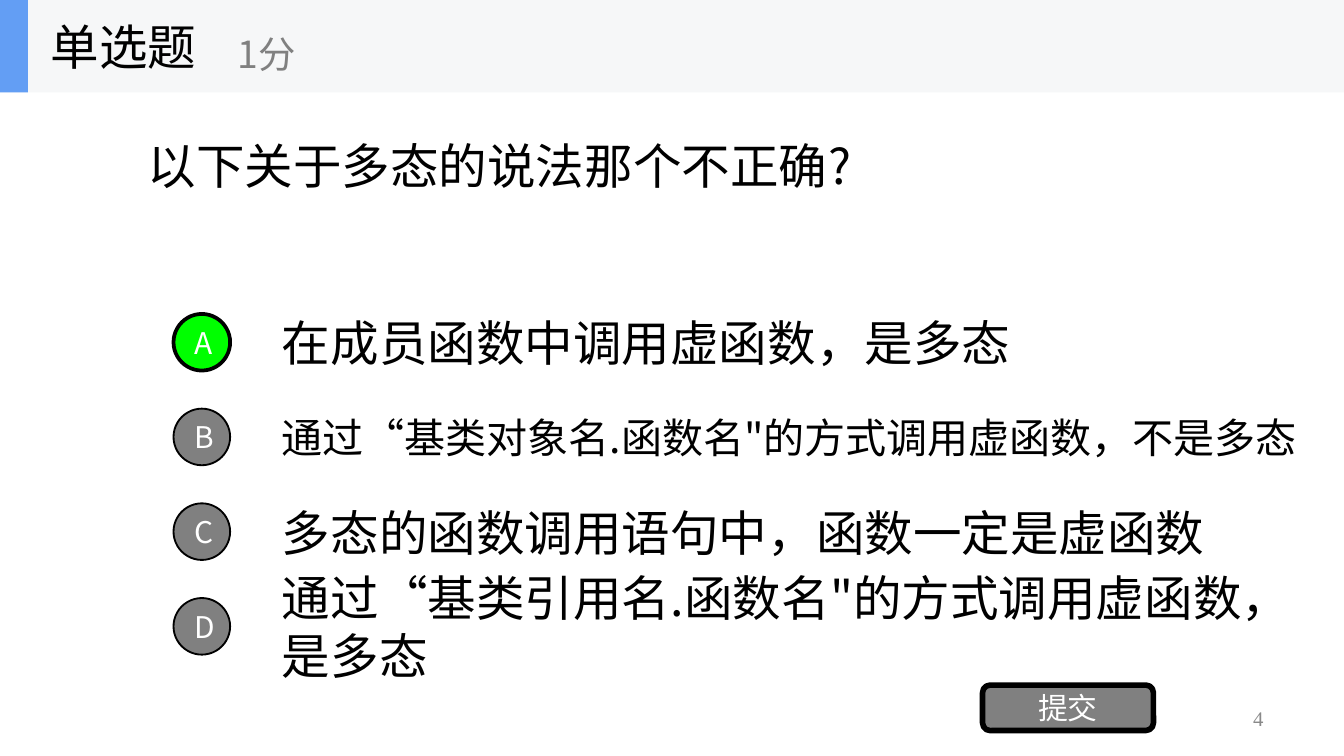
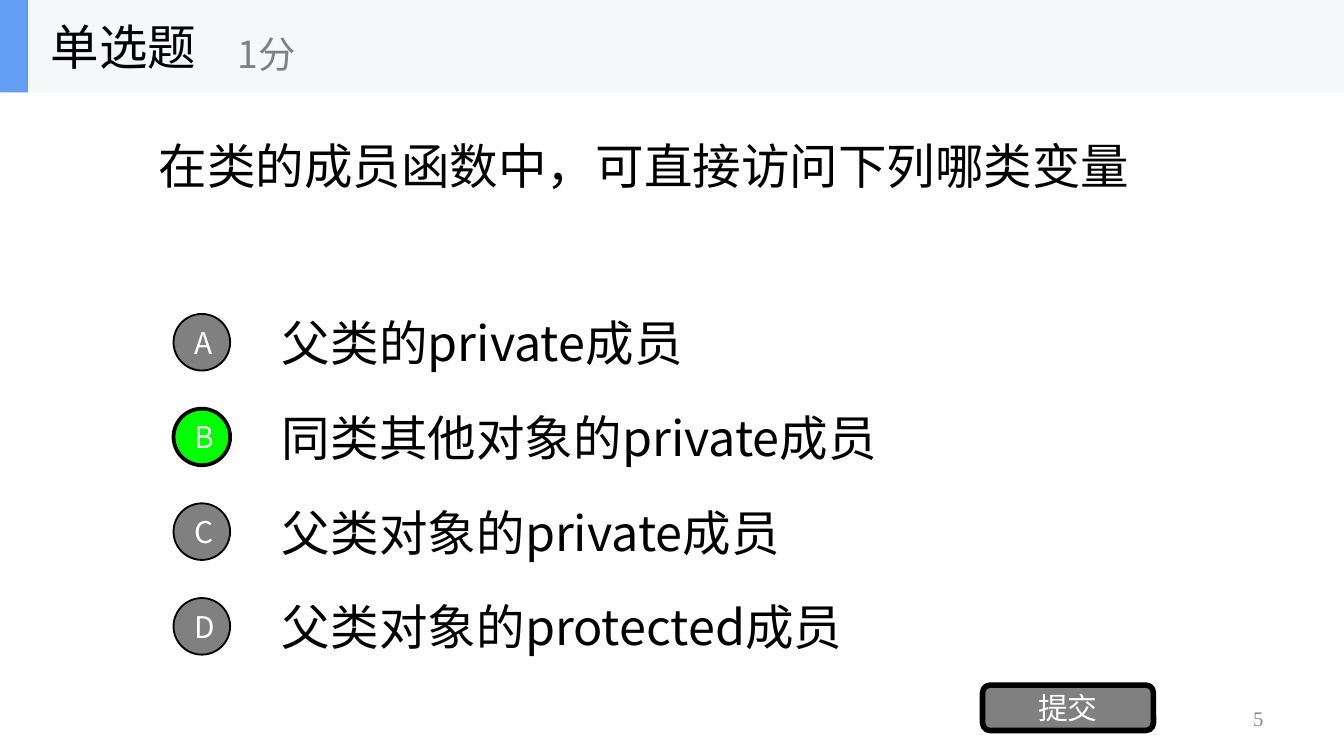
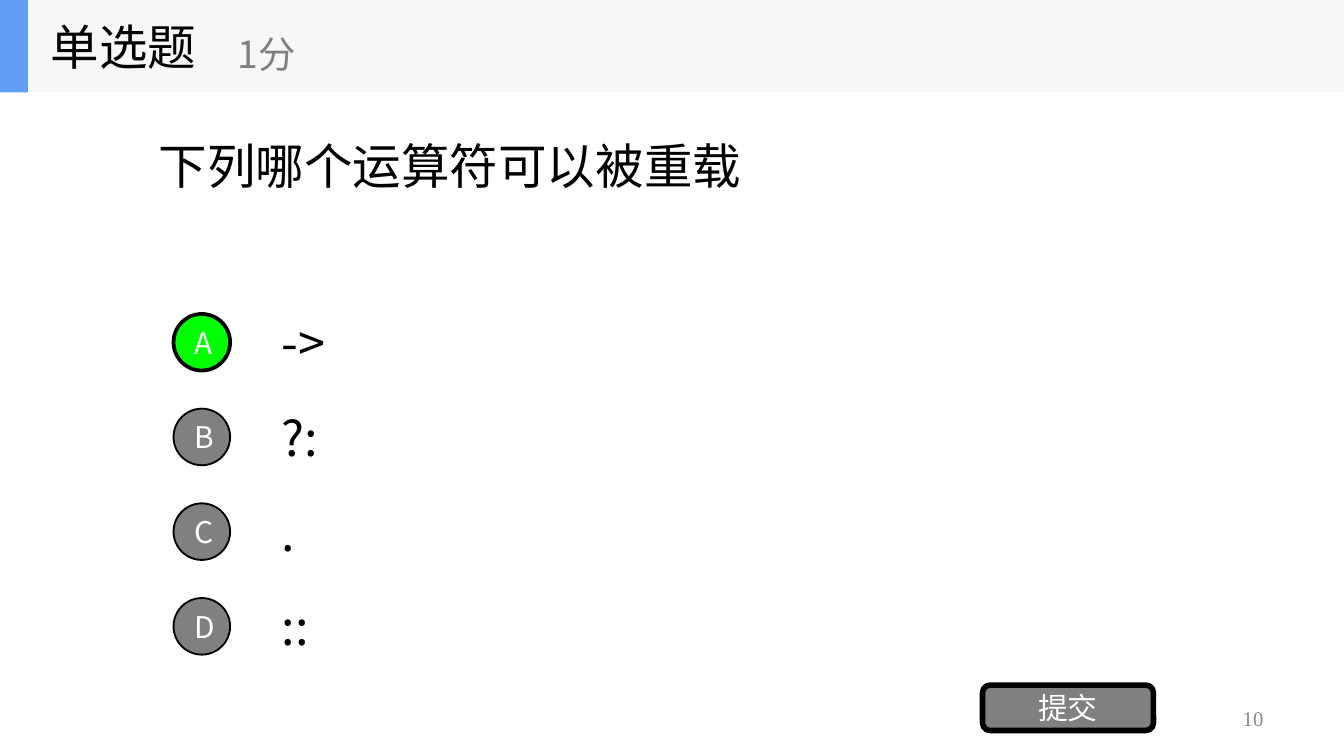
"""Build three single-choice quiz slides with a shared header, option list and submit button."""
from pptx import Presentation
from pptx.dml.color import RGBColor
from pptx.enum.shapes import MSO_SHAPE
from pptx.enum.text import MSO_ANCHOR, PP_ALIGN
from pptx.oxml.ns import qn
from pptx.util import Cm, Pt

COLORS = {
    "text": "000000",
    "outline": "000000",
    "light": "FFFFFF",
    "muted": "808080",
    "number": "898989",
    "correct": "00FF00",
    "band": "F6F7F8",
    "accent": "639EF4",
}
SANS = "Noto Sans CJK SC"
SERIF = "Times New Roman"

OPTION_TOP = 5.8
OPTION_PITCH = 1.79
OPTION_HEIGHT = 1.34
BADGE_SIZE = 1.07
BAND_HEIGHT = 1.75

QUESTIONS = [
    {
        "number": "4",
        "question": "以下关于多态的说法那个不正确?",
        "answer": "A",
        "options": [
            ("在成员函数中调用虚函数，是多态", 26, 17.78),
            ("通过“基类对象名.函数名\"的方式调用虚函数，不是多态", 22, 19.96),
            ("多态的函数调用语句中，函数一定是虚函数", 26, 19.96),
            ("通过“基类引用名.函数名\"的方式调用虚函数，是多态", 26, 19.05),
        ],
    },
    {
        "number": "5",
        "question": " 在类的成员函数中，可直接访问下列哪类变量",
        "answer": "B",
        "options": [
            ("父类的private成员", 26, 17.78),
            ("同类其他对象的private成员", 26, 17.78),
            ("父类对象的private成员", 26, 17.78),
            ("父类对象的protected成员", 26, 17.78),
        ],
    },
    {
        "number": "10",
        "question": " 下列哪个运算符可以被重载",
        "answer": "A",
        "options": [(symbol, 26, 17.78) for symbol in ("->", "?:", ".", "::")],
    },
]


def add_text(shapes, box, text, size, color="text", align=PP_ALIGN.LEFT, font=SANS, shape=None):
    """Write one run into the given shape, or into a new text box."""
    shape = shape or shapes.add_textbox(*map(Cm, box))
    frame = shape.text_frame
    frame.word_wrap = True
    frame.vertical_anchor = MSO_ANCHOR.MIDDLE
    paragraph = frame.paragraphs[0]
    paragraph.alignment = align
    run = paragraph.add_run()
    run.text = text
    run.font.size = Pt(size)
    run.font.color.rgb = RGBColor.from_string(COLORS[color])
    run.font.name = font
    east_asian = run.font._element.makeelement(qn("a:ea"), {"typeface": font})
    run.font._element.find(qn("a:latin")).addnext(east_asian)
    return paragraph


def add_filled(shapes, kind, box, fill, line_width=0):
    """Add a filled preset shape, outlined when a line width is given."""
    shape = shapes.add_shape(kind, *map(Cm, box))
    shape.shadow.inherit = False
    shape.fill.solid()
    shape.fill.fore_color.rgb = RGBColor.from_string(COLORS[fill])
    if line_width:
        shape.line.color.rgb = RGBColor.from_string(COLORS["outline"])
        shape.line.width = Pt(line_width)
    else:
        shape.line.fill.background()
    return shape


presentation = Presentation()
presentation.slide_width = Cm(25.4)
presentation.slide_height = Cm(14.29)

for quiz in QUESTIONS:
    slide = presentation.slides.add_slide(presentation.slide_layouts[6])
    shapes = slide.shapes

    number = add_text(shapes, (18.21, 13.23, 5.92, 0.76), quiz["number"], 11.1, "number",
                      PP_ALIGN.RIGHT, SERIF)
    number.line_spacing = 0.9
    add_text(shapes, (2.54, 0.89, 20.32, 4.47), quiz["question"], 26)

    for row, (text, size, width) in enumerate(quiz["options"]):
        top = OPTION_TOP + row * OPTION_PITCH
        add_text(shapes, (5.08, top, width, OPTION_HEIGHT), text, size)

    for row, letter in enumerate("ABCD"):
        top = OPTION_TOP + row * OPTION_PITCH + (OPTION_HEIGHT - BADGE_SIZE) / 2
        fill, line_width = ("correct", 2) if letter == quiz["answer"] else ("muted", 1)
        badge = add_filled(shapes, MSO_SHAPE.OVAL, (3.28, top, BADGE_SIZE, BADGE_SIZE),
                           fill, line_width)
        add_text(shapes, None, letter, 16, "light", PP_ALIGN.CENTER, shape=badge)

    submit = add_filled(shapes, MSO_SHAPE.ROUNDED_RECTANGLE, (18.57, 12.95, 3.23, 0.86), "muted", 3)
    add_text(shapes, None, "提交", 16, "light", PP_ALIGN.CENTER, shape=submit)

    header = shapes.add_group_shape().shapes
    add_filled(header, MSO_SHAPE.RECTANGLE, (0, 0, 25.4, BAND_HEIGHT), "band")
    add_filled(header, MSO_SHAPE.RECTANGLE, (0, 0, 0.53, BAND_HEIGHT), "accent")
    add_text(header, (0.71, 0, 5.28, BAND_HEIGHT), "单选题", 26)
    add_text(header, (4.24, 0.3, 6.35, 1.42), "1分", 20, "muted")

presentation.save("out.pptx")
